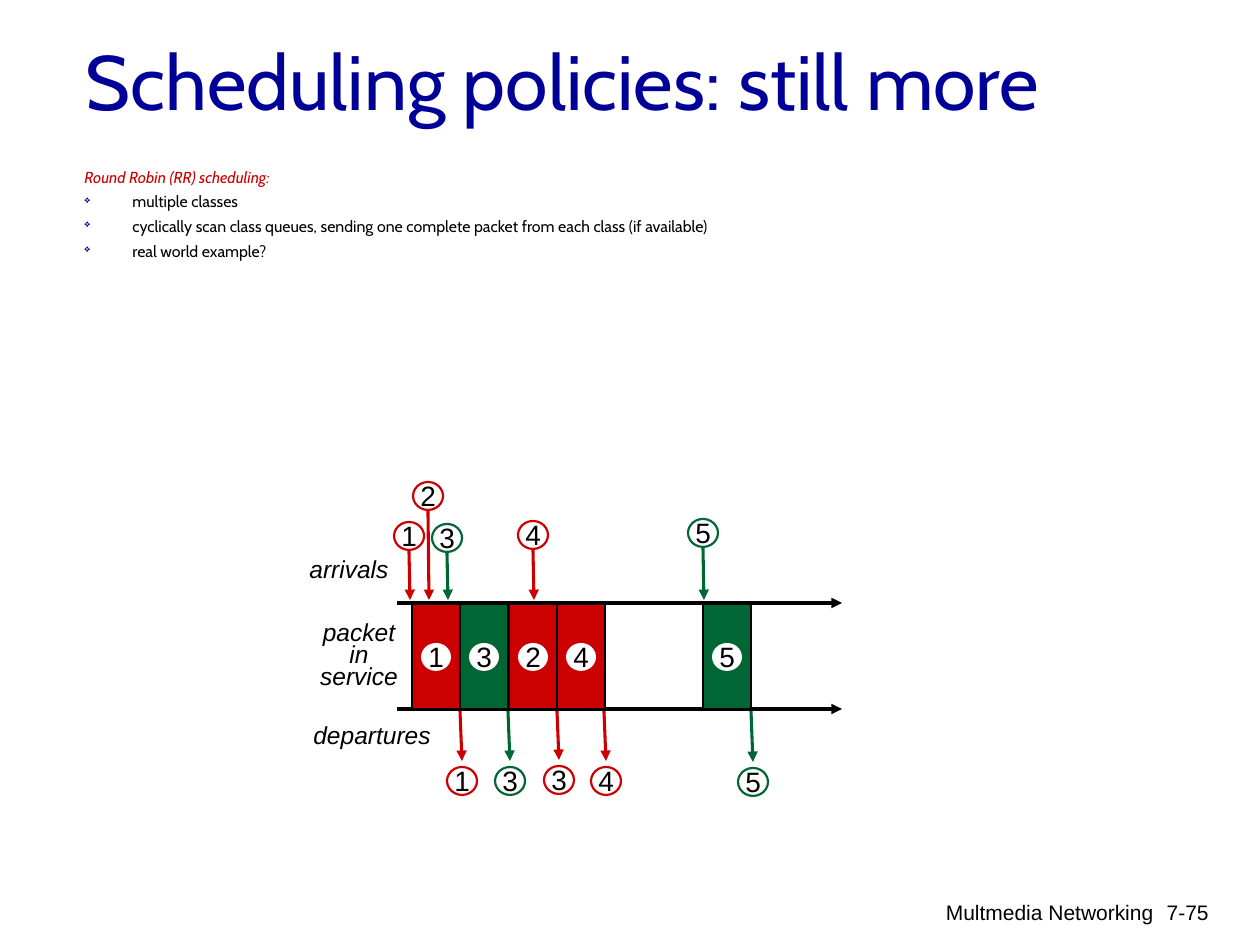
from dataclasses import dataclass

import pptx
import pptx.dml.color
import pptx.enum.shapes
import pptx.enum.text
import pptx.oxml
import pptx.oxml.ns
import pptx.util
from lxml import etree

Align = pptx.enum.text.PP_ALIGN
Kind = pptx.enum.shapes.MSO_SHAPE


@dataclass(frozen=True)
class Theme:
    heading_font: str = "Cabin"
    label_font: str = "Arial"
    navy: str = "000099"
    red: str = "CC0000"
    green: str = "006633"
    black: str = "000000"
    white: str = "FFFFFF"
    title_size: float = 44
    body_size: float = 9.1
    footer_size: float = 12
    number_size: float = 16
    label_size: float = 14


@dataclass(frozen=True)
class Packet:
    """A packet in service; slot counts packet times from the start."""
    number: str
    color: str
    slot: int


@dataclass(frozen=True)
class Event:
    """An arrival or departure, placed by the corner of its ring."""
    number: str
    color: str
    left: int
    top: int


THEME = Theme()
AXIS_LEFT, AXIS_RIGHT = 397, 842
ARRIVAL_AXIS, DEPARTURE_AXIS = 603, 709
PACKET_LEFT, PACKET_TOP, PACKET_WIDTH, PACKET_HEIGHT = 412, 604, 48, 105
SLOT_TENTHS = 485  # slot pitch in tenths of a px
RING_WIDTH, RING_HEIGHT = 30, 28

PACKETS = [
    Packet("1", THEME.red, 0),
    Packet("3", THEME.green, 1),
    Packet("2", THEME.red, 2),
    Packet("4", THEME.red, 3),
    Packet("5", THEME.green, 6),
]
ARRIVALS = [
    Event("2", THEME.red, 413, 482),
    Event("1", THEME.red, 394, 522),
    Event("3", THEME.green, 432, 524),
    Event("4", THEME.red, 518, 521),
    Event("5", THEME.green, 688, 519),
]
DEPARTURES = [
    Event("1", THEME.red, 447, 767),
    Event("3", THEME.green, 495, 767),
    Event("3", THEME.red, 544, 766),
    Event("4", THEME.red, 591, 767),
    Event("5", THEME.green, 738, 768),
]
BULLETS = [
    "multiple classes",
    "cyclically scan class queues, sending one complete packet from each class (if available)",
    "real world example?",
]


def px(length: int) -> pptx.util.Emu:
    return pptx.util.Emu(round(length * 914400 / 126))


def rgb(color: str) -> pptx.dml.color.RGBColor:
    return pptx.dml.color.RGBColor.from_string(color)


def format_runs(paragraph, size: float, color: str, font: str, italic: bool = False) -> None:
    for run in paragraph.runs:
        run.font.size = pptx.util.Pt(size)
        run.font.name = font
        run.font.italic = italic
        run.font.color.rgb = rgb(color)


def add_label(slide, text: str, left: int, top: int, width: int, height: int, size: float,
              italic: bool = False, align=Align.LEFT, wrap: bool = False):
    box = slide.shapes.add_textbox(px(left), px(top), px(width), px(height))
    frame = box.text_frame
    frame.text = text
    frame.word_wrap = wrap
    if not wrap:
        frame.auto_size = pptx.enum.text.MSO_AUTO_SIZE.SHAPE_TO_FIT_TEXT
    frame.paragraphs[0].alignment = align
    format_runs(frame.paragraphs[0], size, THEME.black, THEME.label_font, italic)
    return box


def add_outline(slide, kind, left: int, top: int, width: int, height: int,
                fill: str, line: str | None):
    shape = slide.shapes.add_shape(kind, px(left), px(top), px(width), px(height))
    shape.shadow.inherit = False
    shape.fill.solid()
    shape.fill.fore_color.rgb = rgb(fill)
    if line is None:
        shape.line.fill.background()
    else:
        shape.line.color.rgb = rgb(line)
        shape.line.width = pptx.util.Pt(1.25)
    return shape


def add_arrow(slide, start: tuple[int, int], end: tuple[int, int], color: str, width: float) -> None:
    arrow = slide.shapes.add_connector(
        pptx.enum.shapes.MSO_CONNECTOR.STRAIGHT, *map(px, start), *map(px, end))
    arrow.line.color.rgb = rgb(color)
    arrow.line.width = pptx.util.Pt(width)
    qn = pptx.oxml.ns.qn
    etree.SubElement(arrow.line._get_or_add_ln(), qn("a:tailEnd"), type="triangle")
    etree.SubElement(arrow._element.spPr, qn("a:effectLst"))


def add_number(slide, number: str, left: int, top: int, ring: str | None = None) -> None:
    add_outline(slide, Kind.OVAL, left, top, RING_WIDTH, RING_HEIGHT, THEME.white, ring)
    add_label(slide, number, left - 5, top - 10, 40, 47, THEME.number_size)


def add_packet(slide, packet: Packet) -> None:
    left = PACKET_LEFT + packet.slot * SLOT_TENTHS // 10
    add_outline(slide, Kind.RECTANGLE, left, PACKET_TOP, PACKET_WIDTH, PACKET_HEIGHT,
                packet.color, THEME.black)
    add_number(slide, packet.number, left + 9, PACKET_TOP + 39)


def add_arrival(slide, event: Event) -> None:
    add_arrow(slide, (event.left + 15, event.top + RING_HEIGHT),
              (event.left + 16, ARRIVAL_AXIS - 3), event.color, 1.75)
    add_number(slide, event.number, event.left, event.top, event.color)


def add_departure(slide, event: Event) -> None:
    add_arrow(slide, (event.left + 13, DEPARTURE_AXIS + 2),
              (event.left + 15, event.top - 6), event.color, 1.75)
    add_number(slide, event.number, event.left, event.top, event.color)


def add_bullet(paragraph) -> None:
    properties = paragraph._p.get_or_add_pPr()
    namespace = pptx.oxml.ns.nsdecls("a")
    for xml in (f'<a:buClr {namespace}><a:srgbClr val="{THEME.navy}"/></a:buClr>',
                f'<a:buSzPct {namespace} val="65000"/>',
                f'<a:buChar {namespace} char="❖"/>'):
        properties.append(pptx.oxml.parse_xml(xml))


def add_title(slide) -> None:
    title = slide.shapes.title
    title.left, title.top, title.width, title.height = px(73), px(1), px(1071), px(158)
    frame = title.text_frame
    frame.text = "Scheduling policies: still more"
    frame.vertical_anchor = pptx.enum.text.MSO_ANCHOR.MIDDLE
    frame.paragraphs[0].alignment = Align.LEFT
    format_runs(frame.paragraphs[0], THEME.title_size, THEME.navy, THEME.heading_font)


def add_body(slide) -> None:
    frame = slide.shapes.add_textbox(px(72), px(167), px(1071), px(105)).text_frame
    frame.word_wrap = True
    frame.text = "\n".join(["Round Robin (RR) scheduling:", *BULLETS])
    for index, paragraph in enumerate(frame.paragraphs):
        properties = paragraph._p.get_or_add_pPr()
        properties.set("marL", str(px(48)))
        properties.set("indent", str(px(-48)))
        is_bullet = index > 0
        if is_bullet:
            add_bullet(paragraph)
            paragraph.space_before = pptx.util.Pt(7)
        paragraph.line_spacing = 0.65
        format_runs(paragraph, THEME.body_size, THEME.black if is_bullet else THEME.red,
                    THEME.heading_font, italic=not is_bullet)


def main() -> None:
    presentation = pptx.Presentation()
    presentation.slide_width, presentation.slide_height = px(1260), px(945)
    slide = presentation.slides.add_slide(presentation.slide_layouts[5])

    # Heading and bullets
    add_title(slide)
    add_body(slide)

    # Footer
    add_label(slide, "Multmedia Networking", 767, 893, 399, 63, THEME.footer_size,
              align=Align.RIGHT, wrap=True)
    add_label(slide, "7-75", 1128, 893, 93, 63, THEME.footer_size, align=Align.RIGHT, wrap=True)

    # Timing diagram
    for axis in (ARRIVAL_AXIS, DEPARTURE_AXIS):
        add_arrow(slide, (AXIS_LEFT, axis), (AXIS_RIGHT, axis), THEME.black, 2)
    for items, draw in ((PACKETS, add_packet), (ARRIVALS, add_arrival), (DEPARTURES, add_departure)):
        for item in items:
            draw(slide, item)

    # Row labels
    add_label(slide, "arrivals", 297, 548, 108, 43, THEME.label_size, italic=True)
    add_label(slide, "departures", 301, 714, 150, 43, THEME.label_size, italic=True)
    service = add_label(slide, "packet in service", 300, 618, 118, 79, THEME.label_size,
                        italic=True, align=Align.CENTER, wrap=True)
    service.text_frame.paragraphs[0].line_spacing = pptx.util.Pt(12.7)

    presentation.save("out.pptx")


if __name__ == "__main__":
    main()
